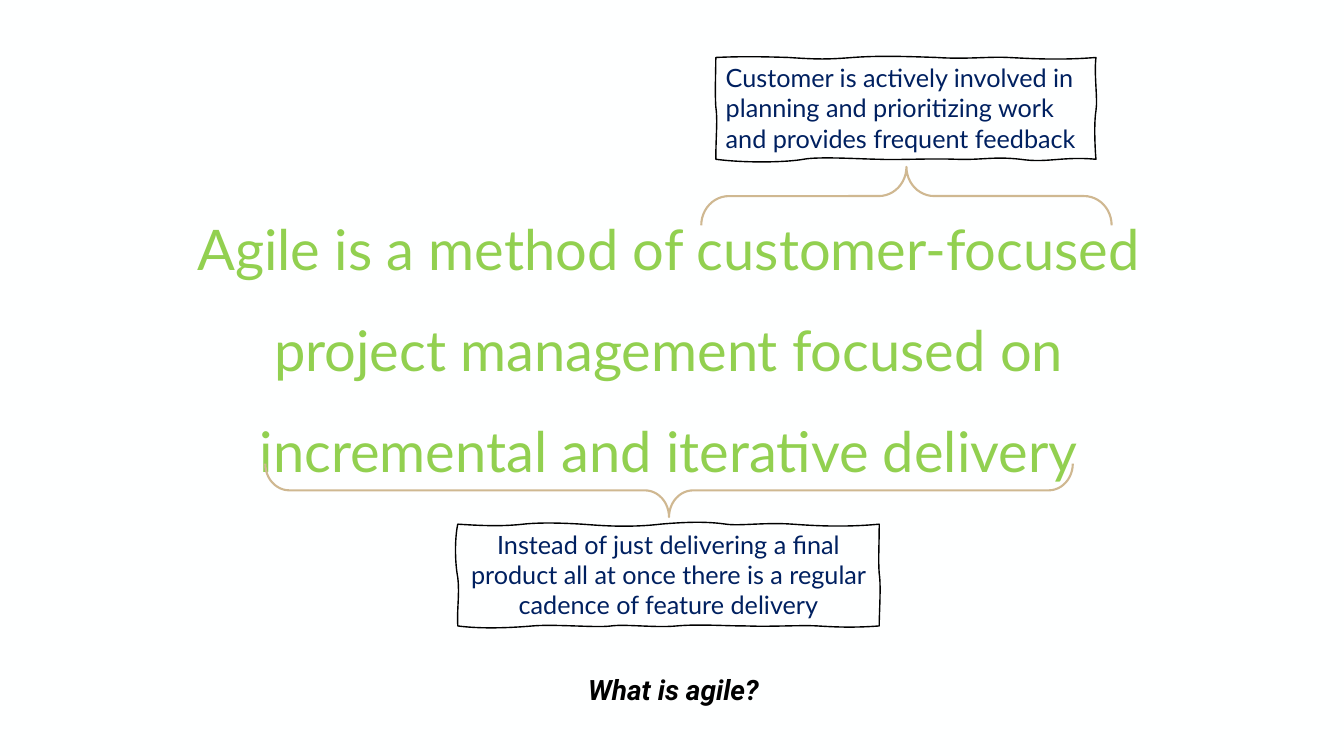
from dataclasses import dataclass

from pptx import Presentation
from pptx.dml.color import RGBColor
from pptx.enum import shapes, text
from pptx.oxml.ns import qn
from pptx.util import Pt

PX = 9144  # EMU per px, 100 px to the inch
CENTER, LEFT = text.PP_ALIGN.CENTER, text.PP_ALIGN.LEFT
GREEN, NAVY, TAN, BLACK = "92D050", "002060", "CFB891", "000000"
Point = tuple[int, int]


@dataclass
class Brace:
    kind: shapes.MSO_SHAPE
    box: tuple[int, int, int, int]
    curl: float


@dataclass
class Note:
    words: str
    align: text.PP_ALIGN
    start: Point
    curves: list[tuple[Point, Point, Point]]  # two handles and an end


BRACES = [
    Brace(shapes.MSO_SHAPE.LEFT_BRACE, (870, -9, 58, 407), 0.472),
    Brace(shapes.MSO_SHAPE.RIGHT_BRACE, (637, 86, 53, 801), 0.452),
]
NOTES = [
    Note("Customer is actively involved in planning and prioritizing work "
         "and provides frequent feedback", LEFT, (710, 57), [
             ((732, 56), (752, 56), (782, 57)),
             ((812, 59), (820, 59), (846, 57)),
             ((872, 55), (900, 56), (929, 57)),
             ((958, 59), (980, 56), (1000, 57)),
             ((1021, 58), (1050, 60), (1087, 57)),
             ((1085, 75), (1089, 98), (1087, 110)),
             ((1085, 122), (1086, 146), (1087, 158)),
             ((1053, 155), (1039, 162), (1012, 158)),
             ((985, 155), (974, 159), (948, 158)),
             ((921, 157), (888, 159), (872, 158)),
             ((857, 158), (813, 155), (797, 158)),
             ((781, 161), (740, 162), (710, 158)),
             ((710, 135), (712, 119), (710, 106)),
             ((709, 93), (710, 67), (710, 57)),
         ]),
    Note("Instead of just delivering a final product all at once "
         "there is a regular cadence of feature delivery", CENTER, (454, 520), [
             ((484, 522), (501, 522), (519, 520)),
             ((537, 518), (561, 519), (577, 520)),
             ((592, 521), (621, 524), (655, 520)),
             ((689, 517), (706, 518), (720, 520)),
             ((734, 522), (759, 518), (786, 520)),
             ((813, 522), (840, 523), (872, 520)),
             ((872, 541), (871, 556), (872, 569)),
             ((874, 581), (872, 608), (872, 621)),
             ((845, 623), (828, 622), (811, 621)),
             ((795, 620), (765, 622), (741, 621)),
             ((718, 621), (693, 619), (671, 621)),
             ((650, 623), (620, 619), (606, 621)),
             ((592, 623), (550, 619), (528, 621)),
             ((505, 623), (477, 624), (454, 621)),
             ((453, 606), (456, 589), (454, 573)),
             ((451, 557), (451, 534), (454, 520)),
         ]),
]


def rgb(color: str) -> RGBColor:
    return RGBColor.from_string(color)


def write(sp, words: str, color: str, font: dict, frame: dict, para: dict) -> None:
    """Fill a shape with one paragraph and apply the format values."""
    tf = sp.text_frame
    p = tf.paragraphs[0]
    r = p.add_run()
    r.text = words
    r.font.color.rgb = rgb(color)
    for target, values in ((tf, frame), (p, para), (r.font, font)):
        for name, value in values.items():
            setattr(target, name, value)


def outline(sp, color: str, width: float) -> None:
    sp.shadow.inherit = False
    sp.fill.background()
    sp.line.color.rgb = rgb(color)
    sp.line.width = Pt(width)


def place(sp, *box: int) -> None:
    for name, value in zip(("left", "top", "width", "height"), box):
        setattr(sp, name, value * PX)


def bend(sp, curves: list[tuple[Point, Point, Point]]) -> None:
    """Turn each straight segment of a freeform into a cubic curve."""
    left, top = sp.left // PX, sp.top // PX
    for segment, curve in zip(list(sp._element.iter(qn("a:lnTo"))), curves):
        segment.clear()
        cubic = segment.makeelement(qn("a:cubicBezTo"), {})
        for x, y in curve:
            pt = cubic.makeelement(qn("a:pt"), {"x": str(x - left), "y": str(y - top)})
            cubic.append(pt)
        segment.getparent().replace(segment, cubic)


def draw_brace(slide, brace: Brace) -> None:
    sp = slide.shapes.add_shape(brace.kind, *(v * PX for v in brace.box))
    sp.rotation = 90
    sp.adjustments[0] = brace.curl
    outline(sp, TAN, 1.5)


def draw_note(slide, note: Note) -> None:
    builder = slide.shapes.build_freeform(*note.start, scale=PX)
    builder.add_line_segments([curve[-1] for curve in note.curves], close=True)
    sp = builder.convert_to_shape()
    bend(sp, note.curves)
    outline(sp, BLACK, 1)
    write(sp, note.words, NAVY, {"name": "Lato", "size": Pt(18)},
          {"word_wrap": True, "vertical_anchor": text.MSO_ANCHOR.TOP,
           "auto_size": text.MSO_AUTO_SIZE.SHAPE_TO_FIT_TEXT},
          {"alignment": note.align})


def main() -> None:
    prs = Presentation()
    prs.slide_width, prs.slide_height = 1333 * PX, 750 * PX
    slide = prs.slides.add_slide(prs.slide_layouts[5])
    slide.background.fill.solid()
    slide.background.fill.fore_color.rgb = rgb("FEFFFF")

    # Title at the foot of the slide
    title = slide.shapes.title
    place(title, 52, 666, 1232, 49)
    write(title, "What is agile?", BLACK,
          {"name": "Roboto", "size": Pt(20), "bold": True, "italic": True},
          {"word_wrap": True, "auto_size": text.MSO_AUTO_SIZE.NONE,
           "vertical_anchor": text.MSO_ANCHOR.TOP},
          {"alignment": CENTER, "line_spacing": 0.9})

    # Definition
    definition = slide.shapes.add_textbox(179 * PX, 175 * PX, 968 * PX, 301 * PX)
    write(definition, "Agile is a method of customer-focused project management "
          "focused on incremental and iterative delivery", GREEN,
          {"name": "Lato", "size": Pt(40)},
          {"word_wrap": True, "auto_size": text.MSO_AUTO_SIZE.SHAPE_TO_FIT_TEXT},
          {"alignment": CENTER, "line_spacing": 1.5})

    # Braces with their hand-drawn notes
    for brace, note in zip(BRACES, NOTES):
        draw_brace(slide, brace)
        draw_note(slide, note)

    prs.save("out.pptx")


if __name__ == "__main__":
    main()
